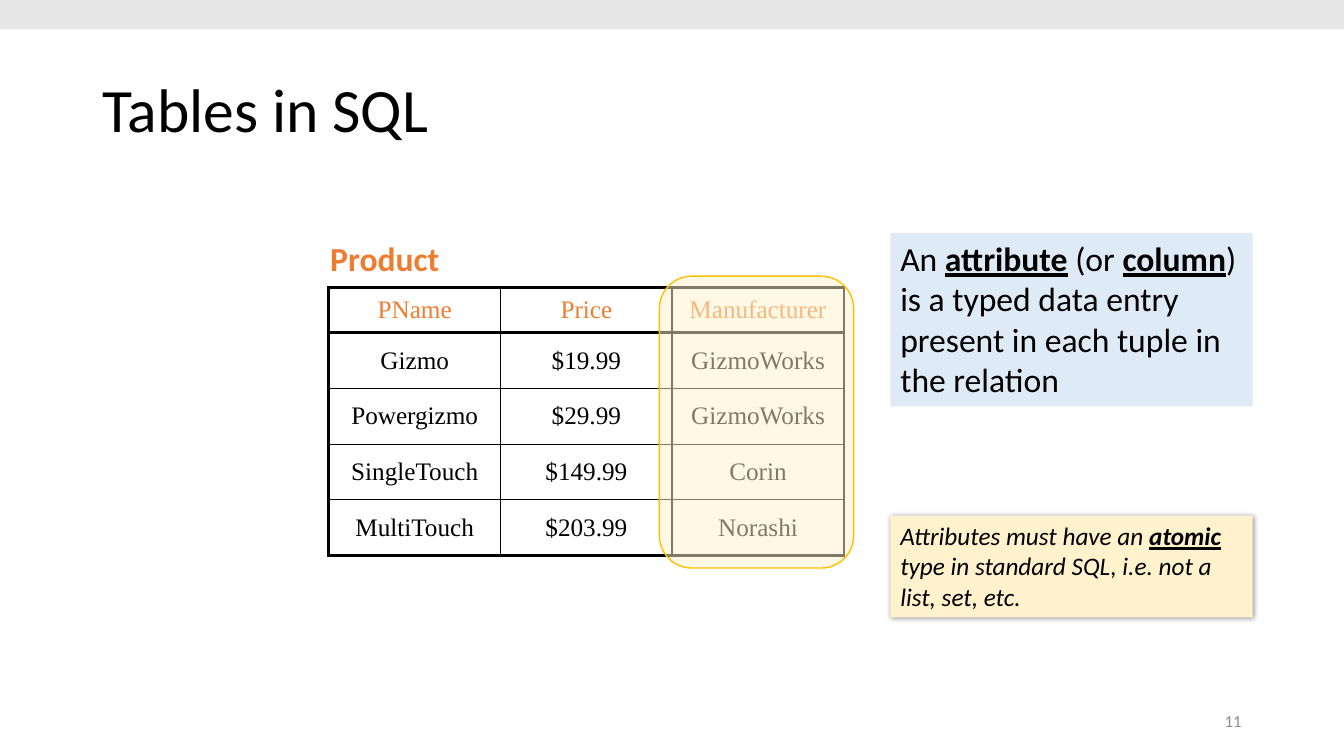
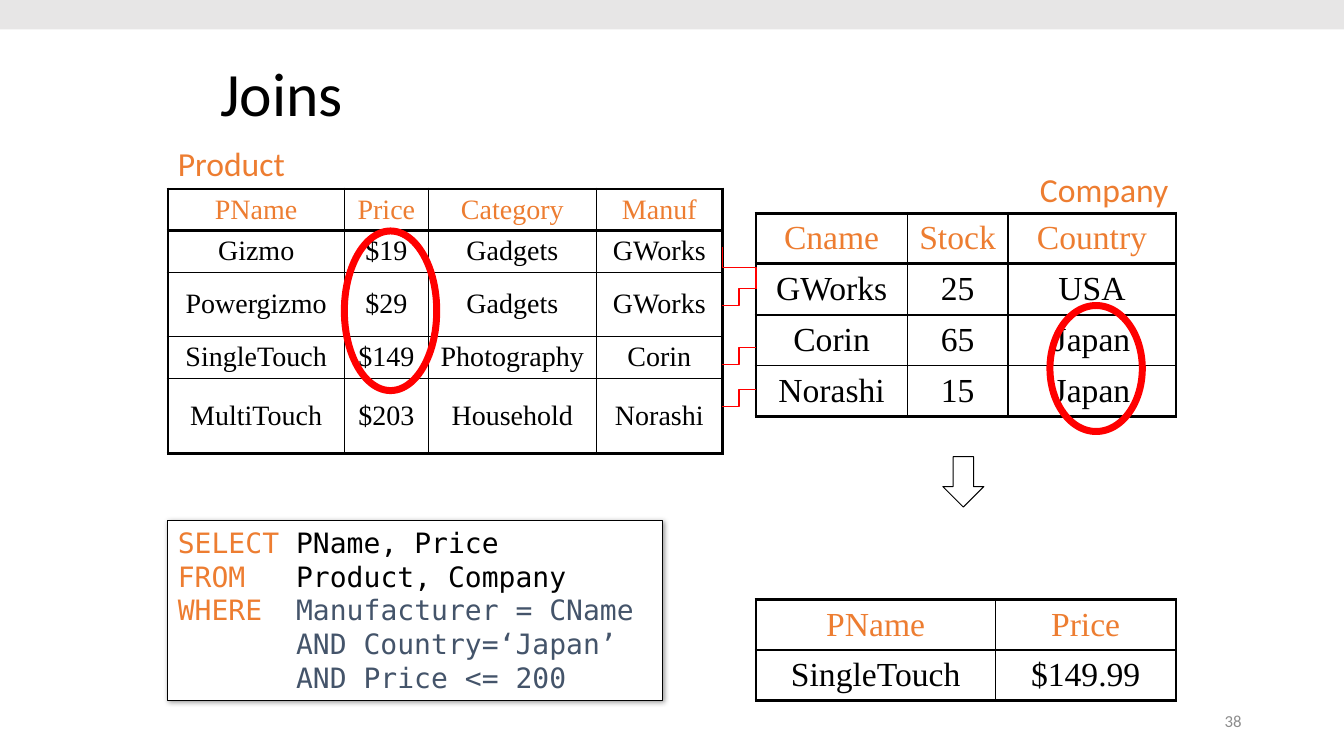
from lxml import etree
from pptx import Presentation
from pptx.dml.color import RGBColor
from pptx.enum.shapes import MSO_CONNECTOR, MSO_SHAPE
from pptx.enum.text import MSO_ANCHOR, MSO_AUTO_SIZE, PP_ALIGN
from pptx.oxml import parse_xml
from pptx.oxml.ns import nsdecls, qn
from pptx.util import Pt

RECTANGLE = MSO_SHAPE.RECTANGLE
ROUNDED = MSO_SHAPE.ROUNDED_RECTANGLE
ELLIPSE = MSO_SHAPE.OVAL
DOWN_ARROW = MSO_SHAPE.DOWN_ARROW
ELBOW = MSO_CONNECTOR.ELBOW
TOP, MIDDLE = MSO_ANCHOR.TOP, MSO_ANCHOR.MIDDLE
LEFT, CENTER, RIGHT = PP_ALIGN.LEFT, PP_ALIGN.CENTER, PP_ALIGN.RIGHT

EMU_PER_PX = 9525
TITLE_ONLY = 5
BODY_FONT, TABLE_FONT, CODE_FONT = "Calibri", "Times New Roman", "DejaVu Sans Mono"
BLACK, WHITE, ORANGE, RED = "000000", "FFFFFF", "ED7D31", "FF0000"
GOLD, CREAM, PALE_BLUE = "FFC000", "FFF2CC", "DEEBF7"
BAND_GRAY, NUMBER_GRAY, SLATE = "E7E6E6", "8C8C8C", "44546A"
THIN, THICK = 1, 2.25
KEY_TERM = {"bold": True, "underline": True}


def px(*lengths):
    return [length * EMU_PER_PX for length in lengths]


def rgb(color):
    return RGBColor.from_string(color)


def write_text(frame, text, align=LEFT, anchor=TOP, line_spacing=None, wrap=True, **style):
    """Fill a frame; text is a string, or a list of lines made of (text, overrides) runs."""
    frame.auto_size = MSO_AUTO_SIZE.NONE
    frame.word_wrap = wrap
    frame.vertical_anchor = anchor
    lines = [[(text, {})]] if isinstance(text, str) else text
    for index, line in enumerate(lines):
        paragraph = frame.add_paragraph() if index else frame.paragraphs[0]
        paragraph.alignment = align
        if line_spacing:
            paragraph.line_spacing = line_spacing
        for run_text, overrides in line:
            run = paragraph.add_run()
            run.text = run_text
            format_run(run, **{**style, **overrides})


def format_run(run, size=24, color=BLACK, font=BODY_FONT, bold=False, italic=False, underline=False):
    run.font.name = font
    run.font.size = Pt(size)
    run.font.color.rgb = rgb(color)
    run.font.bold = bold
    run.font.italic = italic
    run.font.underline = underline


def set_borders(cell, **widths):
    """Draw black cell borders; widths are given in points for L, R, T and B."""
    properties = cell._tc.get_or_add_tcPr()
    for index, side in enumerate("LRTB"):
        properties.insert(index, parse_xml(
            f'<a:ln{side} {nsdecls("a")} w="{Pt(widths[side])}">'
            f'<a:solidFill><a:srgbClr val="{BLACK}"/></a:solidFill></a:ln{side}>'))


class Deck:
    def __init__(self):
        self.presentation = Presentation()
        self.presentation.slide_width, self.presentation.slide_height = px(1280, 720)
        self.slide = None

    def add_slide(self, title, title_box, number):
        layout = self.presentation.slide_layouts[TITLE_ONLY]
        self.slide = self.presentation.slides.add_slide(layout)
        placeholder = self.slide.shapes.title
        placeholder.left, placeholder.top, placeholder.width, placeholder.height = px(*title_box)
        write_text(placeholder.text_frame, title, anchor=MIDDLE, line_spacing=0.9, size=44)
        self.shape(RECTANGLE, (0, 0, 1280, 28), fill=BAND_GRAY)
        self.text((904, 667, 288, 38), number, align=RIGHT, anchor=MIDDLE,
                  size=12, color=NUMBER_GRAY)

    def text(self, box, text, **style):
        frame = self.slide.shapes.add_textbox(*px(*box)).text_frame
        write_text(frame, text, **style)

    def label(self, box, text, bold=False):
        self.text(box, text, wrap=False, color=ORANGE, bold=bold)

    def shape(self, kind, box, text=None, fill=None, opacity=None, line=None,
              line_width=1, shadow=False, **style):
        shape = self.slide.shapes.add_shape(kind, *px(*box))
        shape.shadow.inherit = False
        if fill:
            shape.fill.solid()
            shape.fill.fore_color.rgb = rgb(fill)
        else:
            shape.fill.background()
        if opacity:
            color = shape._element.spPr.find(f'{qn("a:solidFill")}/{qn("a:srgbClr")}')
            etree.SubElement(color, qn("a:alpha"), val=str(opacity * 1000))
        if line:
            shape.line.color.rgb = rgb(line)
            shape.line.width = Pt(line_width)
        else:
            shape.line.fill.background()
        if shadow:
            effects = shape._element.spPr.find(qn("a:effectLst"))
            effects.append(parse_xml(
                f'<a:outerShdw {nsdecls("a")} blurRad="{Pt(4)}" dist="{Pt(1)}" dir="2700000" '
                f'algn="tl" rotWithShape="0"><a:srgbClr val="{BLACK}">'
                '<a:alpha val="40000"/></a:srgbClr></a:outerShdw>'))
        if text:
            write_text(shape.text_frame, text, **style)

    def table(self, left, top, columns, heights, rows, size, fill=None):
        """Add a grid with an orange header row, a thick frame and thin inner lines."""
        box = px(left, top, sum(columns), sum(heights))
        table = self.slide.shapes.add_table(len(rows), len(columns), *box).table
        table.first_row = table.horz_banding = False
        for column, width in zip(table.columns, px(*columns)):
            column.width = width
        for row, height in zip(table.rows, px(*heights)):
            row.height = height
        last_row, last_column = len(rows) - 1, len(columns) - 1
        for r, values in enumerate(rows):
            for c, value in enumerate(values):
                cell = table.cell(r, c)
                write_text(cell.text_frame, value, align=CENTER, size=size,
                           font=TABLE_FONT, color=BLACK if r else ORANGE)
                cell.vertical_anchor = MIDDLE
                if fill:
                    cell.fill.solid()
                    cell.fill.fore_color.rgb = rgb(fill)
                else:
                    cell.fill.background()
                set_borders(cell,
                            L=THICK if c == 0 else THIN,
                            R=THICK if c == last_column else THIN,
                            T=THICK if r <= 1 else THIN,
                            B=THICK if r in (0, last_row) else THIN)

    def elbow(self, start, end, quarter_turns=0):
        connector = self.slide.shapes.add_connector(ELBOW, *px(*start, *end))
        connector.line.color.rgb = rgb(RED)
        connector.line.width = Pt(1)
        properties = connector._element.spPr
        etree.SubElement(properties, qn("a:effectLst"))
        if quarter_turns:
            properties.find(qn("a:xfrm")).set("rot", str(quarter_turns * 5400000))


def add_tables_slide(deck):
    deck.add_slide("Tables in SQL", (88, 38, 1104, 139), "11")
    deck.table(313, 274, [164, 163, 164], [43] + [53] * 4, [
        ["PName", "Price", "Manufacturer"],
        ["Gizmo", "$19.99", "GizmoWorks"],
        ["Powergizmo", "$29.99", "GizmoWorks"],
        ["SingleTouch", "$149.99", "Corin"],
        ["MultiTouch", "$203.99", "Norashi"],
    ], size=18)
    deck.label((305, 222, 125, 48), "Product", bold=True)
    deck.shape(ROUNDED, (628, 263, 185, 278), fill=CREAM, opacity=50, line=GOLD)
    deck.shape(RECTANGLE, (848, 222, 345, 165), [[
        ("An ", {}), ("attribute", KEY_TERM), (" (or ", {}), ("column", KEY_TERM),
        (") is a typed data entry present in each tuple in the relation", {}),
    ]], fill=PALE_BLUE)
    deck.shape(RECTANGLE, (848, 491, 345, 97), [[
        ("Attributes must have an ", {}), ("atomic", KEY_TERM),
        (" type in standard SQL, i.e. not a list, set, etc.", {}),
    ]], fill=CREAM, shadow=True, size=18, italic=True)


def add_joins_slide(deck):
    deck.add_slide("Joins", (200, 32, 864, 120), "38")
    deck.table(160, 180, [168, 80, 160, 120], [39, 40, 61, 40, 72], [
        ["PName", "Price", "Category", "Manuf"],
        ["Gizmo", "$19", "Gadgets", "GWorks"],
        ["Powergizmo", "$29", "Gadgets", "GWorks"],
        ["SingleTouch", "$149", "Photography", "Corin"],
        ["MultiTouch", "$203", "Household", "Norashi"],
    ], size=20)
    deck.label((160, 131, 122, 48), "Product")
    deck.label((981, 156, 143, 48), "Company")
    deck.table(720, 203, [144, 96, 160], [48, 49, 48, 49], [
        ["Cname", "Stock", "Country"],
        ["GWorks", "25", "USA"],
        ["Corin", "65", "Japan"],
        ["Norashi", "15", "Japan"],
    ], size=24, fill=WHITE)
    deck.table(720, 571, [228, 172], [48, 48], [
        ["PName", "Price"],
        ["SingleTouch", "$149.99"],
    ], size=24)
    deck.shape(DOWN_ARROW, (898, 435, 39, 48), line=BLACK, line_width=0.75)

    deck.elbow((724, 239), (684, 271), quarter_turns=3)
    for y in (291, 347, 387):
        deck.elbow((688, y), (720, y - 16))
    for box in ((328, 220, 88, 152), (1000, 291, 88, 120)):
        deck.shape(ELLIPSE, box, line=RED, line_width=5)

    keyword, condition = {"color": ORANGE}, {"color": SLATE}
    deck.shape(RECTANGLE, (160, 496, 471, 171), [
        [("SELECT ", keyword), ("PName, Price", {})],
        [("FROM   ", keyword), ("Product, Company", {})],
        [("WHERE  ", keyword), ("Manufacturer = CName", condition)],
        [("       AND Country=‘Japan’", condition)],
        [("       AND Price <= 200", condition)],
    ], fill=WHITE, line=BLACK, line_width=0.75, shadow=True, size=20, font=CODE_FONT)


def main():
    deck = Deck()
    add_tables_slide(deck)
    add_joins_slide(deck)
    deck.presentation.save("out.pptx")


if __name__ == "__main__":
    main()
